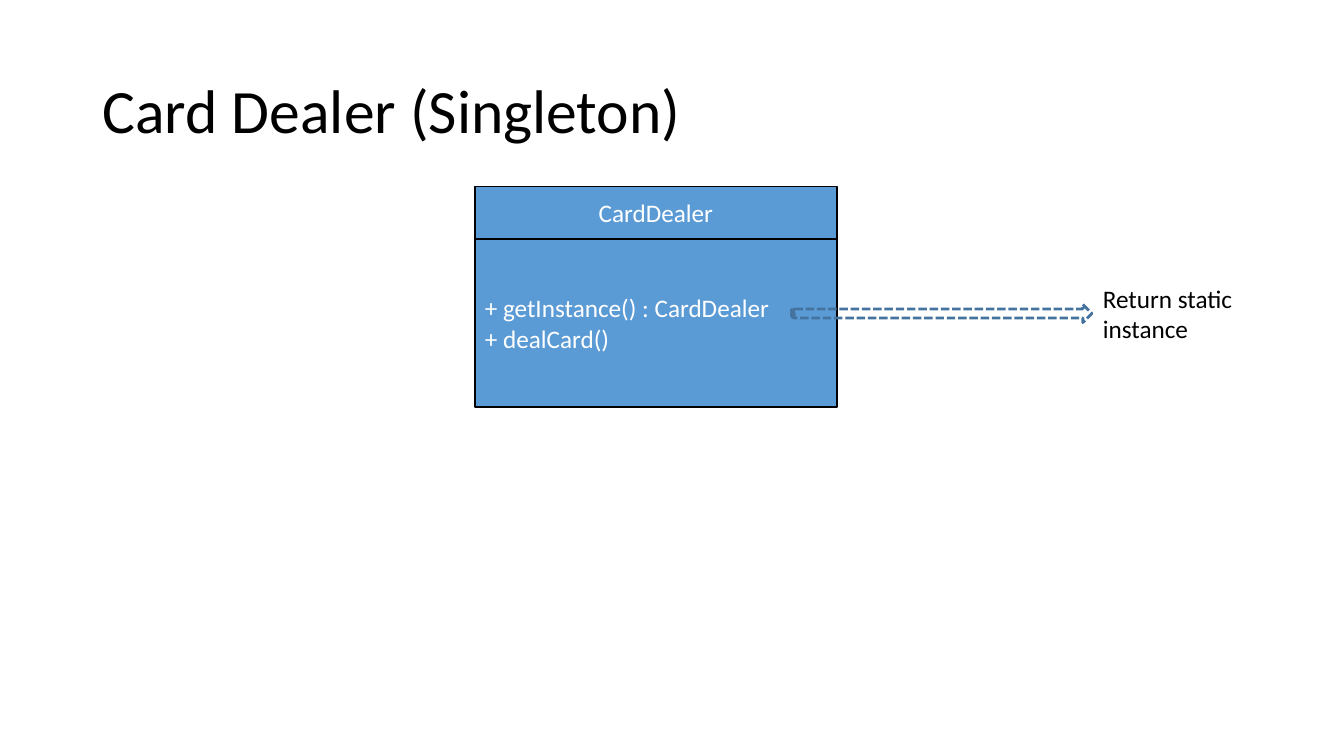
from dataclasses import dataclass
from typing import Any

from pptx import Presentation
from pptx.dml.color import RGBColor as RGB
from pptx.enum.dml import MSO_LINE as DASH
from pptx.enum.shapes import MSO_SHAPE as SHAPE
from pptx.enum.text import MSO_ANCHOR as ANCHOR, PP_ALIGN as ALIGN
from pptx.util import Inches, Pt

COLORS = {"box": "5B9BD5", "border": "000000", "arrow": "43739E",
          "light": "FFFFFF", "dark": "000000"}
FONT = "Calibri"


@dataclass
class Label:
    """Lines of text with one format."""
    lines: list[str]
    color: str
    size: int = 18
    align: Any = ALIGN.LEFT
    anchor: Any = ANCHOR.MIDDLE
    spacing: float = 1.0
    wrap: bool = True


@dataclass
class Item:
    """A text box or, when it has a shape type, a preset shape."""
    left: float
    top: float
    width: float
    height: float
    label: Label | None = None
    shape: Any = None
    fill: str | None = None
    line: str = "border"
    weight: float = 1
    dash: Any = None


def set_all(obj: Any, values: dict[str, Any]) -> None:
    """Set each named attribute of an object."""
    for name, value in values.items():
        setattr(obj, name, value)


def rgb(name: str) -> RGB:
    """Look up a named colour."""
    return RGB.from_string(COLORS[name])


def write(tf: Any, label: Label) -> None:
    """Write a label, one paragraph per line."""
    set_all(tf, {"word_wrap": label.wrap, "vertical_anchor": label.anchor})
    for i, line in enumerate(label.lines):
        p = tf.add_paragraph() if i else tf.paragraphs[0]
        set_all(p, {"alignment": label.align, "line_spacing": label.spacing})
        r = p.add_run()
        r.text = line
        set_all(r.font, {"name": FONT, "size": Pt(label.size)})
        r.font.color.rgb = rgb(label.color)


def draw(shapes: Any, item: Item) -> None:
    """Add an item to a slide or a group."""
    box = [Inches(v) for v in (item.left, item.top, item.width, item.height)]
    if item.shape is None:
        sp = shapes.add_textbox(*box)
    else:
        sp = shapes.add_shape(item.shape, *box)
        sp.shadow.inherit = False
        if item.fill:
            sp.fill.solid()
            sp.fill.fore_color.rgb = rgb(item.fill)
        else:
            sp.fill.background()
        sp.line.color.rgb = rgb(item.line)
        set_all(sp.line, {"width": Pt(item.weight), "dash_style": item.dash})
    if item.label:
        write(sp.text_frame, item.label)


TITLE = Item(0.92, 0.4, 11.5, 1.45,
             Label(["Card Dealer (Singleton)"], "dark", size=44, spacing=0.9))
METHODS = Item(4.71, 2.37, 3.59, 1.67,
               Label(["+ getInstance() : CardDealer", "+ dealCard()"], "light"),
               SHAPE.RECTANGLE, "box")
CLASS_NAME = Item(4.71, 1.85, 3.59, 0.52,
                  Label(["CardDealer"], "light", align=ALIGN.CENTER),
                  SHAPE.RECTANGLE, "box")
ARROW = Item(7.85, 3.02, 2.98, 0.18, shape=SHAPE.STRIPED_RIGHT_ARROW,
             line="arrow", weight=2, dash=DASH.SQUARE_DOT)
NOTE = Item(10.84, 2.76, 1.5, 0.71,
            Label(["Return static", "instance"], "dark",
                  anchor=ANCHOR.TOP, wrap=False))

prs = Presentation()
set_all(prs, {"slide_width": Inches(13.33), "slide_height": Inches(7.5)})
s = prs.slides.add_slide(prs.slide_layouts[6])
draw(s.shapes, TITLE)
class_box = s.shapes.add_group_shape()
for part in (METHODS, CLASS_NAME):
    draw(class_box.shapes, part)
for item in (ARROW, NOTE):
    draw(s.shapes, item)
prs.save("out.pptx")
